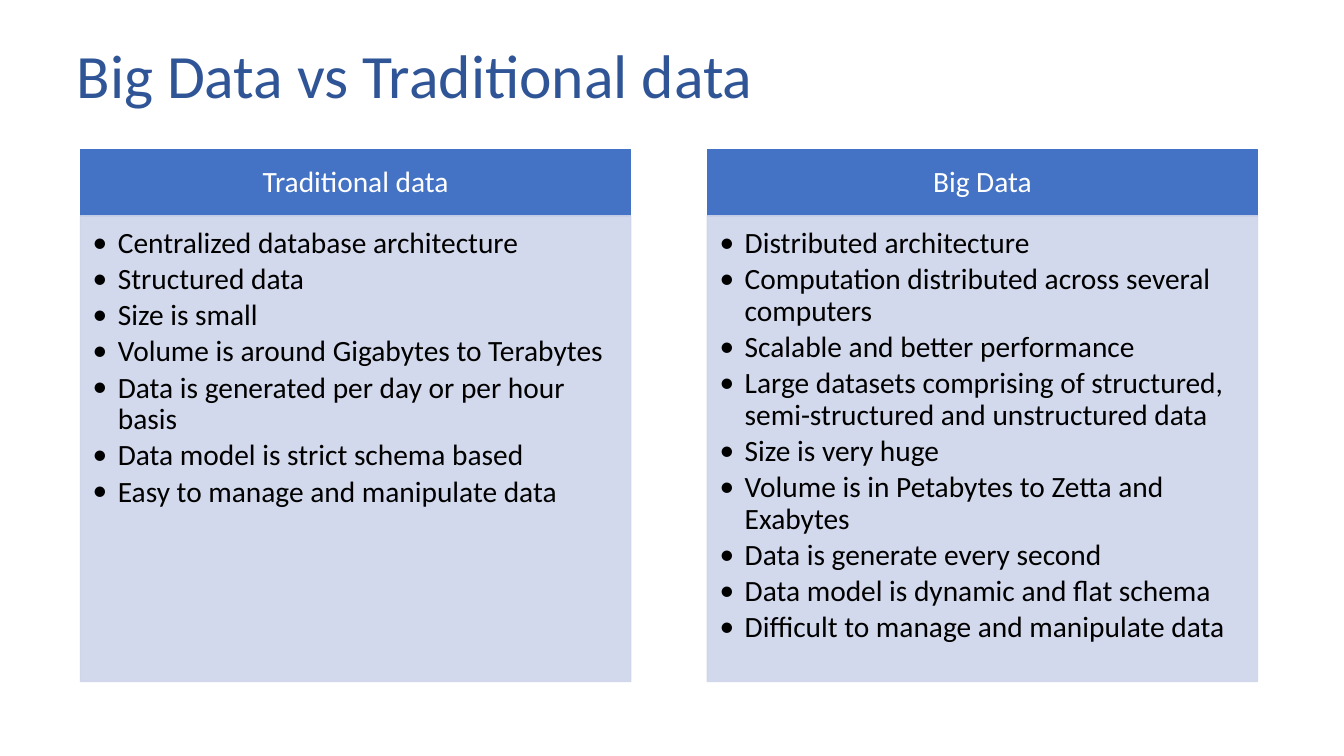
from dataclasses import dataclass

from lxml.etree import SubElement
from pptx import Presentation
from pptx.dml.color import RGBColor
from pptx.enum.text import MSO_ANCHOR as Anchor, MSO_AUTO_SIZE as AutoSize, PP_ALIGN as Align
from pptx.oxml.ns import qn
from pptx.util import Pt


@dataclass(frozen=True)
class Theme:
    font: str = "Calibri"
    title: str = "2F5597"
    header: str = "4472C4"
    header_text: str = "FFFFFF"
    panel: str = "CFD5EA"
    panel_text: str = "000000"
    title_size: int = 44
    text_size: int = 21


theme = Theme()


def write(box, lines, color, size=theme.text_size, align=Align.LEFT, anchor=Anchor.MIDDLE,
          insets=(7.2, 3.6, 7.2, 3.6), after=0, bullet_indent=0):
    """Fill a placeholder with one paragraph per line."""
    frame = box.text_frame
    frame.word_wrap, frame.auto_size, frame.vertical_anchor = True, AutoSize.NONE, anchor
    frame.margin_left, frame.margin_top, frame.margin_right, frame.margin_bottom = map(Pt, insets)
    for number, line in enumerate(lines):
        para = frame.add_paragraph() if number else frame.paragraphs[0]
        para.alignment, para.line_spacing = align, 0.9
        para.space_before, para.space_after = Pt(0), Pt(after)
        if bullet_indent:
            para.level = 1
            props = para._p.get_or_add_pPr()
            props.set("marL", str(Pt(bullet_indent)))
            props.set("indent", str(-Pt(bullet_indent)))
            SubElement(props, qn("a:buFont"), typeface=theme.font)
            SubElement(props, qn("a:buChar"), char="•")
        span = para.add_run()
        span.text = line
        span.font.name, span.font.size, span.font.bold = theme.font, Pt(size), False
        span.font.color.rgb = RGBColor.from_string(color)


def place(box, left, top, width, height, color=None, opacity=100):
    """Position a placeholder and, given a color, fill and outline it."""
    box.left, box.top, box.width, box.height = map(Pt, (left, top, width, height))
    if color:
        box.shadow.inherit = False
        box.fill.solid()
        box.line.fill.solid()
        box.line.width = Pt(1)
        for paint in (box.fill.fore_color, box.line.color):
            paint.rgb = RGBColor.from_string(color)
        if opacity < 100:
            for node in box._element.spPr.iter(qn("a:srgbClr")):
                SubElement(node, qn("a:alpha"), val=str(opacity * 1000))


columns = [
    ("Traditional data", [
        "Centralized database architecture",
        "Structured data",
        "Size is small",
        "Volume is around Gigabytes to Terabytes",
        "Data is generated per day or per hour basis",
        "Data model is strict schema based",
        "Easy to manage and manipulate data",
    ]),
    ("Big Data", [
        "Distributed architecture",
        "Computation distributed across several computers",
        "Scalable and better performance",
        "Large datasets comprising of structured, semi-structured and unstructured data",
        "Size is very huge",
        "Volume is in Petabytes to Zetta and Exabytes",
        "Data is generate every second",
        "Data model is dynamic and flat schema",
        "Difficult to manage and manipulate data",
    ]),
]

# Slide on the comparison layout
deck = Presentation()
deck.slide_width, deck.slide_height = Pt(960), Pt(540)
page = deck.slides.add_slide(deck.slide_layouts[4])
title, *bodies = page.placeholders

# Title
place(title, 47.5, 24.5, 828, 63.4)
write(title, ["Big Data vs Traditional data"], theme.title, theme.title_size)

# Two columns, each a header above a bulleted panel
left, top, width, pitch = 57.5, 106.7, 393, 447.75
header_height, panel_height = 47.5, 332.6
for number, (heading, points) in enumerate(columns):
    header, panel = bodies[2 * number:2 * number + 2]
    x = left + number * pitch
    place(header, x, top, width, header_height, theme.header)
    write(header, [heading], theme.header_text, align=Align.CENTER,
          insets=(11.5, 6.5, 11.5, 6.5), after=0.35 * theme.text_size)
    place(panel, x, top + header_height, width, panel_height, theme.panel, opacity=90)
    write(panel, points, theme.panel_text, anchor=Anchor.TOP,
          insets=(8.7, 8.7, 11.5, 13), after=0.15 * theme.text_size, bullet_indent=18)

deck.save("out.pptx")
